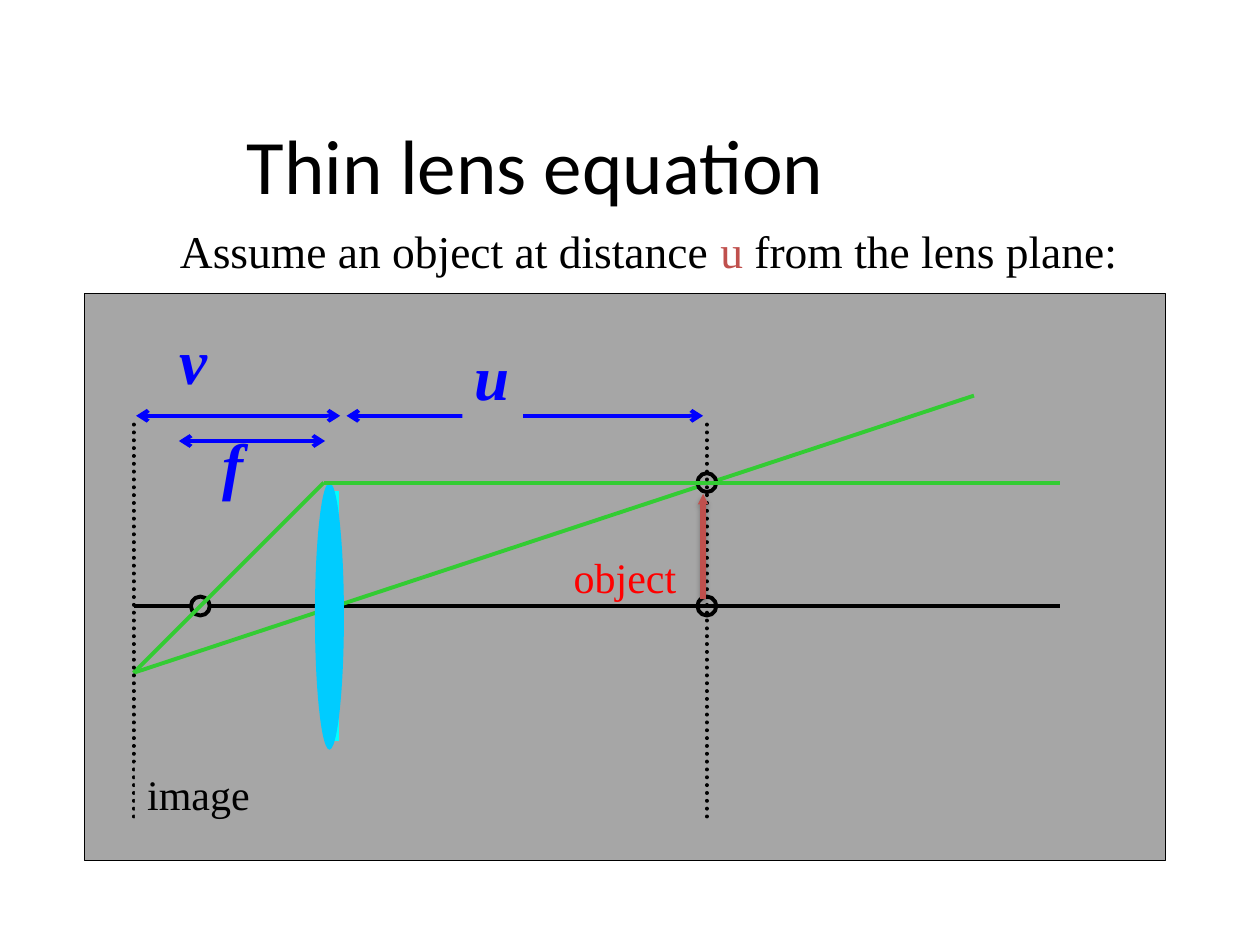
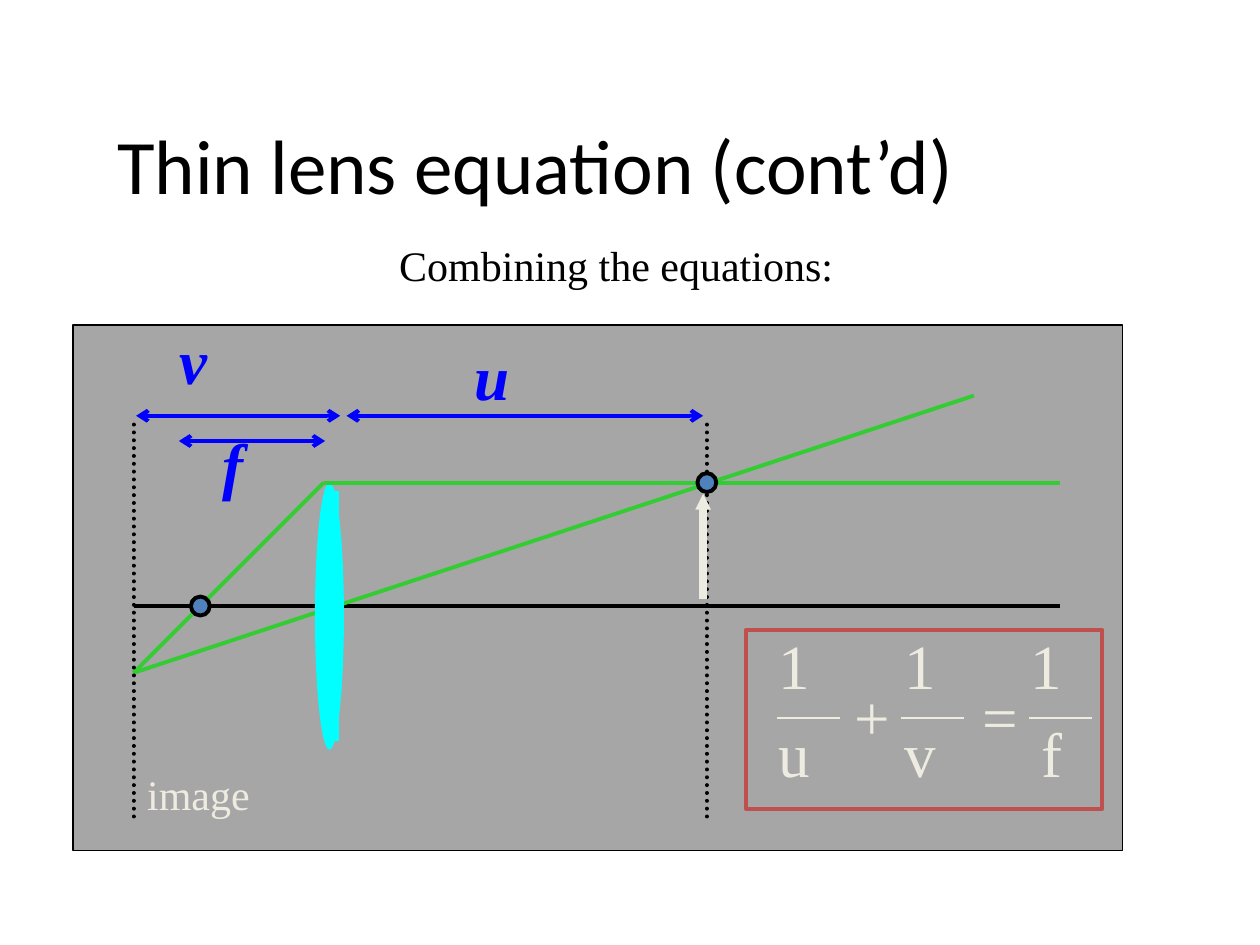
from lxml import etree
from pptx import Presentation
from pptx import util as u
from pptx.dml.color import RGBColor
from pptx.enum import dml, shapes, text
from pptx.oxml import parse_xml
from pptx.oxml.ns import nsdecls, qn

BLACK = RGBColor(0x00, 0x00, 0x00)
GREY = RGBColor(0xA6, 0xA6, 0xA6)
BLUE = RGBColor(0x00, 0x00, 0xFF)
GREEN = RGBColor(0x33, 0xCC, 0x33)
CYAN = RGBColor(0x02, 0xFF, 0xFF)
SKY = RGBColor(0x00, 0xCC, 0xFF)
RED = RGBColor(0xFF, 0x00, 0x00)
BRICK = RGBColor(0xC0, 0x50, 0x4D)
STEEL = RGBColor(0x4F, 0x81, 0xBD)
CREAM = RGBColor(0xEE, 0xEC, 0xE1)
SERIF = "Times New Roman"

IMAGE_X, LENS_X, OBJECT_X, RIGHT_X = 1.06, 2.57, 5.61, 8.41
AXIS_Y, TOP_Y, IMAGE_Y = 4.81, 3.83, 5.34
FOCUS_X = 1.59
DOT = 0.15

DIAGRAM = [
    ("line", (2.65, 3.9), (2.65, 5.88), CYAN, 6),
    ("point", OBJECT_X, AXIS_Y),
    ("line", (RIGHT_X, AXIS_Y), (IMAGE_X, AXIS_Y), BLACK, 2.25),
    ("line", (7.73, 3.14), (IMAGE_X, IMAGE_Y), GREEN, 2.25),
    ("point", OBJECT_X, TOP_Y),
    ("lens", 2.5, TOP_Y, 0.23, 2.12),
    ("point", FOCUS_X, AXIS_Y),
    ("line", (LENS_X, TOP_Y), (IMAGE_X, IMAGE_Y), GREEN, 2.25),
    ("line", (RIGHT_X, TOP_Y), (LENS_X, TOP_Y), GREEN, 2.25),
    ("dotted", IMAGE_X),
    ("dotted", OBJECT_X),
    ("label", "f", 1.67, 3.33, 0.37),
    ("span", 5.58, 2.75, 3.3),
    ("label", "u", 3.67, 2.63, 0.48),
    ("span", 2.7, 1.08, 3.3),
    ("label", "v", 1.33, 2.5, 0.42),
    ("span", 2.58, 1.42, 3.5),
]

SLIDES = [
    dict(title="Thin lens equation", panel=(0.67, 2.33, 8.58, 4.5), panel_text="object",
         intro=[("Assume an object at distance ", BLACK), ("u", BRICK),
                (" from the lens plane:", BLACK)],
         intro_at=(1.33, 1.72, 7.7, 0.54), intro_size=26,
         lens=SKY, point=GREY, label_fill=GREY, points_on_top=False,
         arrow=BRICK, arrow_width=3, arrow_shadow=True, image=BLACK, formula=False),
    dict(title="Thin lens equation (cont’d)", panel=(0.58, 2.58, 8.33, 4.17), panel_text="",
         intro=[("Combining the equations:", BLACK)],
         intro_at=(3.07, 1.85, 3.68, 0.51), intro_size=24,
         lens=CYAN, point=STEEL, label_fill=None, points_on_top=True,
         arrow=CREAM, arrow_width=4.5, arrow_shadow=False, image=CREAM, formula=True),
]

FRACTIONS = [("u", 6.08, 6.08, 6.17), ("v", 7.08, 7.08, 7.15), ("f", 8.08, 8.17, 8.17)]
OPERATORS = [("+", 6.68), ("=", 7.7)]


def inches(values):
    return [u.Inches(v) for v in values]


def style_run(r, size, color, font=SERIF, strong=False):
    r.font.size = u.Pt(size)
    r.font.name = font
    r.font.color.rgb = color
    r.font.bold = r.font.italic = strong


def add_text(s, at, parts, size, font=SERIF, strong=False, fill=None, title=False):
    sp = s.shapes.add_textbox(*inches(at))
    if fill is not None:
        sp.fill.solid()
        sp.fill.fore_color.rgb = fill
    tf = sp.text_frame
    tf.word_wrap = title
    p = tf.paragraphs[0]
    if title:
        tf.vertical_anchor = text.MSO_ANCHOR.MIDDLE
        p.alignment = text.PP_ALIGN.CENTER
    else:
        tf.auto_size = text.MSO_AUTO_SIZE.SHAPE_TO_FIT_TEXT
    for words, color in parts:
        r = p.add_run()
        r.text = words
        style_run(r, size, color, font, strong)


def add_shape(s, kind, at, fill=None, line=None, width=1):
    sp = s.shapes.add_shape(kind, *inches(at))
    sp.shadow.inherit = False
    if fill is None:
        sp.fill.background()
    else:
        sp.fill.solid()
        sp.fill.fore_color.rgb = fill
    if line is None:
        sp.line.fill.background()
    else:
        sp.line.color.rgb = line
        sp.line.width = u.Pt(width)
    return sp


def add_line(s, start, end, color, width, head=None, tail=None, dotted=False, shadow=False):
    c = s.shapes.add_connector(shapes.MSO_CONNECTOR.STRAIGHT, *inches(start + end))
    c.line.color.rgb = color
    c.line.width = u.Pt(width)
    ln = c.line._get_or_add_ln()
    if dotted:
        c.line.dash_style = dml.MSO_LINE.ROUND_DOT
        ln.set("cap", "rnd")
    for tag, kind in (("a:headEnd", head), ("a:tailEnd", tail)):
        if kind:
            end_mark = etree.SubElement(ln, qn(tag))
            end_mark.set("type", kind)
            if kind == "triangle":
                end_mark.set("w", "sm")
                end_mark.set("len", "sm")
    effect = ('<a:outerShdw blurRad="39370" dist="22860" dir="5400000" rotWithShape="0">'
              '<a:srgbClr val="000000"><a:alpha val="35000"/></a:srgbClr>'
              '</a:outerShdw>') if shadow else ""
    c._element.spPr.append(parse_xml(f'<a:effectLst {nsdecls("a")}>{effect}</a:effectLst>'))


def add_part(s, look, kind, *args):
    if kind == "line":
        add_line(s, *args)
    elif kind == "point":
        x, y = args
        add_shape(s, shapes.MSO_SHAPE.OVAL, (x - DOT / 2, y - DOT / 2, DOT, DOT),
                  look["point"], BLACK, 2.25)
    elif kind == "lens":
        add_shape(s, shapes.MSO_SHAPE.OVAL, args, look["lens"])
    elif kind == "dotted":
        add_line(s, (args[0], 3.37), (args[0], 6.48), BLACK, 2.25, dotted=True)
    elif kind == "span":
        right, left, y = args
        add_line(s, (right, y), (left, y), BLUE, 2.25, "arrow", "arrow")
    elif kind == "label":
        name, x, y, w = args
        add_text(s, (x, y, w, 0.7), [(name, BLUE)], 36, strong=True, fill=look["label_fill"])


def add_diagram(s, look):
    parts = DIAGRAM
    if look["points_on_top"]:
        points = [d for d in DIAGRAM if d[0] == "point" and d[1:] != (OBJECT_X, AXIS_Y)]
        parts = [d for d in DIAGRAM if d[0] != "point"] + points
    for part in parts:
        add_part(s, look, *part)
    add_line(s, (5.58, 4.75), (5.58, 3.92), look["arrow"], look["arrow_width"],
             tail="triangle", shadow=look["arrow_shadow"])
    add_text(s, (1.07, 6.05, 1.1, 0.5), [("image", look["image"])], 24,
             fill=look["label_fill"])


def add_formula(s):
    for below, top_x, below_x, bar_x in FRACTIONS:
        add_text(s, (top_x, 4.92, 0.45, 0.7), [("1", CREAM)], 36)
        add_text(s, (below_x, 5.62, 0.45, 0.7), [(below, CREAM)], 36)
        add_line(s, (bar_x, 5.7), (bar_x + 0.5, 5.7), CREAM, 1)
    for sign, x in OPERATORS:
        add_text(s, (x, 5.33, 0.48, 0.7), [(sign, CREAM)], 36)
    add_shape(s, shapes.MSO_SHAPE.RECTANGLE, (5.92, 5, 2.83, 1.42), line=BRICK, width=2.25)


def add_panel(s, look):
    sp = add_shape(s, shapes.MSO_SHAPE.RECTANGLE, look["panel"], GREY, BLACK)
    if look["panel_text"]:
        tf = sp.text_frame
        tf.text = look["panel_text"]
        tf.word_wrap = False
        tf.vertical_anchor = text.MSO_ANCHOR.MIDDLE
        p = tf.paragraphs[0]
        p.alignment = text.PP_ALIGN.CENTER
        style_run(p.runs[0], 24, RED)


def main():
    prs = Presentation()
    prs.slide_width, prs.slide_height = u.Inches(10), u.Inches(7.5)
    for look in SLIDES:
        s = prs.slides.add_slide(prs.slide_layouts[6])
        add_panel(s, look)
        add_text(s, (0, 0.67, 8.5, 1.25), [(look["title"], BLACK)], 44, "Calibri", title=True)
        add_text(s, look["intro_at"], look["intro"], look["intro_size"])
        add_diagram(s, look)
        if look["formula"]:
            add_formula(s)
    prs.save("out.pptx")


if __name__ == "__main__":
    main()
